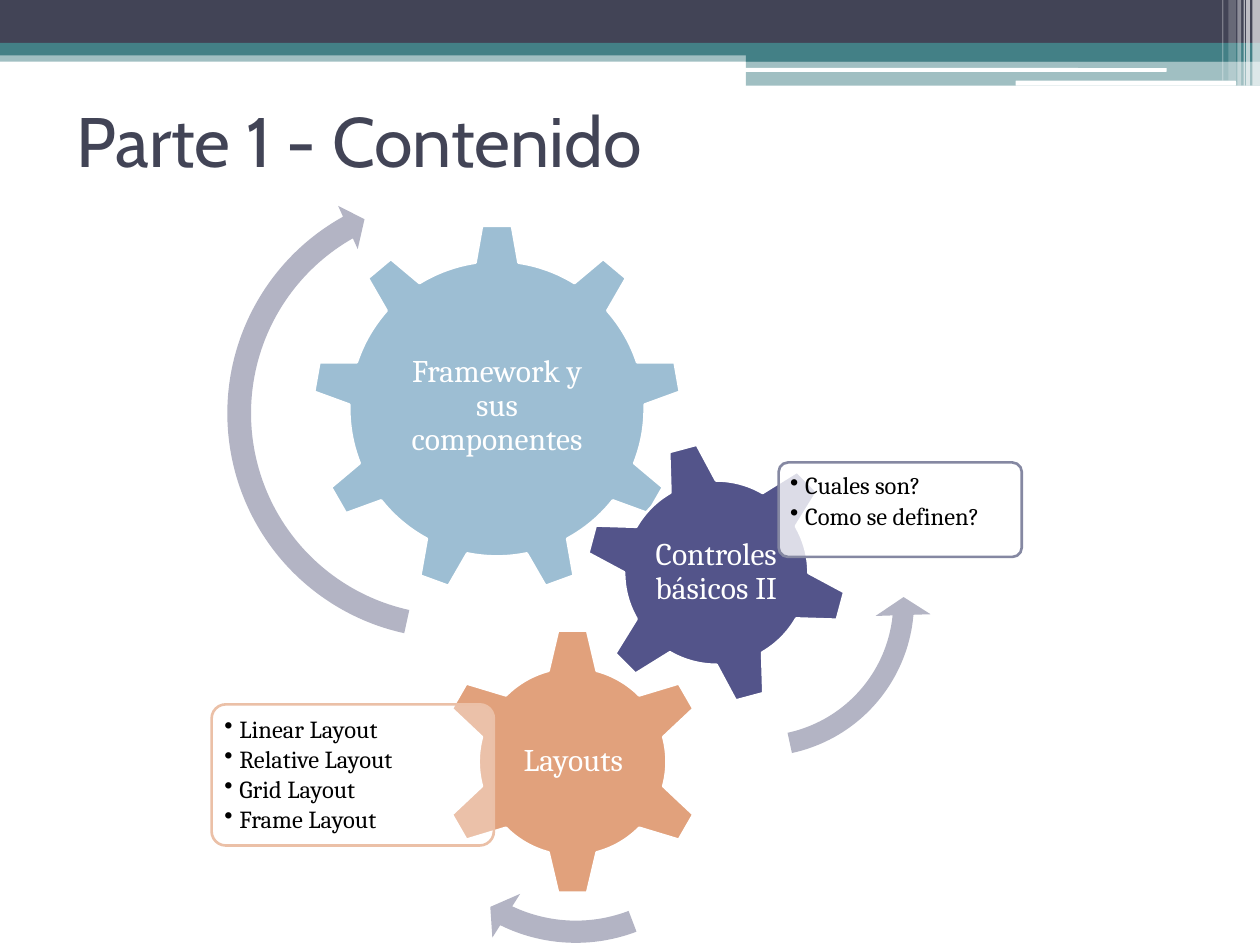
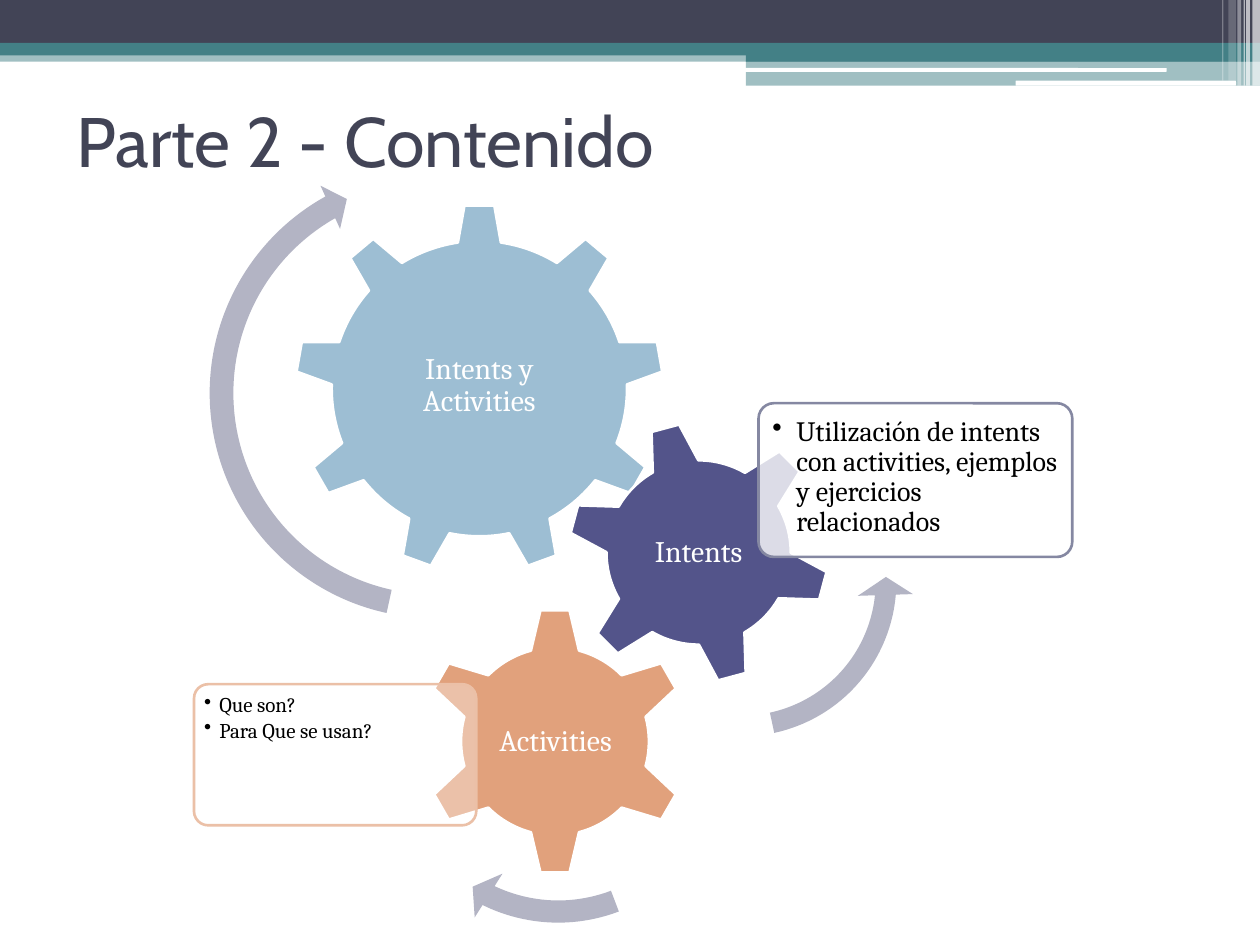
from lxml import etree
from pptx import Presentation
from pptx.dml.color import RGBColor
from pptx.enum.shapes import MSO_SHAPE
from pptx.enum.text import MSO_ANCHOR, PP_ALIGN
from pptx.oxml.ns import qn
from pptx.util import Emu, Pt

RECT, ROUNDED = MSO_SHAPE.RECTANGLE, MSO_SHAPE.ROUNDED_RECTANGLE
GEAR_6, GEAR_9 = MSO_SHAPE.GEAR_6, MSO_SHAPE.GEAR_9
ARC, LEFT_ARC = MSO_SHAPE.CIRCULAR_ARROW, MSO_SHAPE.LEFT_CIRCULAR_ARROW
MIDDLE, TOP = MSO_ANCHOR.MIDDLE, MSO_ANCHOR.TOP
CENTER, LEFT = PP_ALIGN.CENTER, PP_ALIGN.LEFT

EMU_PER_PX = 9144  # 100 px to the inch
SLIDE_SIZE = (1000, 750)
TITLE_BOX = (51, 52, 900, 117)
TITLE_FONT, BODY_FONT = "Cabin", "Cambria"

COLORS = {
    "ink": "424456", "teal": "438086", "white": "FFFFFF", "black": "000000",
    "blue": "9DBED3", "orange": "E1A17C", "purple": "53548A",
    "orange_edge": "EBC0A7", "purple_edge": "8588A2", "arrow": "B3B4C4",
}

# Header bands: box, colour, opacity in percent
BANDS = [
    ((0, 40, 1000, 9), "teal", 50),
    ((0, 0, 1000, 34), "ink", 100),
    ((0, 34, 1000, 10), "teal", 100),
    ((592, 39, 408, 10), "teal", 100),
    ((592, 48, 408, 20), "teal", 50),
]
WHITE_RULES = [(591, 54, 335, 3), (806, 64, 175, 4)]
# Vertical strips: left, width, height, opacity
STRIPS = [(994, 6, 68, 65), (989, 3, 68, 65), (987, 1, 68, 60),
          (982, 3, 68, 40), (975, 6, 64, 20), (970, 1, 64, 30)]

# Gears: preset, box in the diagram, label box, colour, rotation
GEARS = [
    (GEAR_9, (80, 38, 293, 293), (139, 107, 175, 151), "blue", 0),
    (GEAR_6, (180, 358, 213, 213), (234, 412, 106, 105), "orange", 0),
    (GEAR_6, (296, 210, 209, 209), (342, 256, 117, 117), "purple", 345),
]
# Turning arrows: preset, box in the diagram, rotation, adjustments
ARROWS = [
    (ARC, (3, 0, 376, 376), 198.5, (0.05, 2.99, 25.3, 158.31, 0.05)),
    (LEFT_ARC, (298, 201, 273, 273), 190.5, (0.06, 4.3, 104.89, 148.38, 0.08)),
    (ARC, (142, 326, 294, 294), 254, (0.06, 3.94, 133.14, 105.08, 0.07)),
]
LAYOUT_NOTE_BOX = (0, 419, 224, 112)

SLIDES = [
    {
        "title": "Parte 1 - Contenido",
        "origin": (168, 140),
        "labels": ["Framework y sus componentes", "Layouts", "Controles básicos II"],
        "label_size": 18, "label_inset": 3,
        "orange_note": {
            "lines": ["Linear Layout", "Relative Layout", "Grid Layout", "Frame Layout"],
            "box": LAYOUT_NOTE_BOX, "size": 14, "inset": 7, "indent": 12},
        "purple_note": {
            "lines": ["Cuales son?", "Como se definen?"],
            "box": (450, 227, 193, 75), "size": 14, "inset": 7, "indent": 12},
    },
    {
        "title": "Parte 2 - Contenido",
        "origin": (154, 124),
        "labels": ["Intents y Activities", "Activities", "Intents"],
        "label_size": 17, "label_inset": 2,
        "orange_note": {
            "lines": ["Que son?", "Para Que se usan?"],
            "box": LAYOUT_NOTE_BOX, "size": 12, "inset": 5, "indent": 12},
        "purple_note": {
            "lines": ["Utilización de intents con activities, ejemplos y "
                      "ejercicios relacionados"],
            "box": (448, 196, 249, 122), "size": 16, "inset": 7, "indent": 19},
    },
]


def px(length):
    return Emu(round(length * EMU_PER_PX))


def rgb(name):
    return RGBColor.from_string(COLORS[name])


def within(origin, box):
    """Shift a box from diagram to slide coordinates."""
    return (origin[0] + box[0], origin[1] + box[1], box[2], box[3])


def add_part(slide, preset, box, color, opacity=100, edge=None, rotation=0,
             adjustments=()):
    part = slide.shapes.add_shape(preset, *map(px, box))
    part.shadow.inherit = False
    part.rotation = rotation
    for index, value in enumerate(adjustments):
        part.adjustments[index] = value
    part.fill.solid()
    part.fill.fore_color.rgb = rgb(color)
    if opacity < 100:
        fill_color = part._element.spPr.find(qn("a:solidFill"))[0]
        etree.SubElement(fill_color, qn("a:alpha"), val=str(opacity * 1000))
    if edge:
        part.line.color.rgb = rgb(edge)
        part.line.width = Pt(1.5)
    else:
        part.line.fill.background()


def add_text(slide, box, lines, size, color, font=BODY_FONT, align=LEFT,
             anchor=TOP, inset=None, line_spacing=None, space_after=0):
    frame = slide.shapes.add_textbox(*map(px, box)).text_frame
    frame.word_wrap = True
    frame.vertical_anchor = anchor
    if inset is not None:
        frame.margin_left = frame.margin_right = px(inset)
        frame.margin_top = frame.margin_bottom = px(inset)
    frame.text = "\n".join(lines)
    for paragraph in frame.paragraphs:
        paragraph.alignment = align
        paragraph.line_spacing = line_spacing
        paragraph.space_after = Pt(size * space_after)
        paragraph.font.name = font
        paragraph.font.size = Pt(size)
        paragraph.font.color.rgb = rgb(color)
    return frame


def add_bullets(frame, indent):
    for paragraph in frame.paragraphs:
        properties = paragraph._p.get_or_add_pPr()
        properties.set("marL", str(px(indent)))
        properties.set("indent", str(-px(indent)))
        bullet = etree.Element(qn("a:buChar"), char="•")
        properties.find(qn("a:defRPr")).addprevious(bullet)


def draw_header(slide):
    for box, color, opacity in BANDS:
        add_part(slide, RECT, box, color, opacity)
    for box in WHITE_RULES:
        add_part(slide, ROUNDED, box, "white")
    for left, width, height, opacity in STRIPS:
        add_part(slide, RECT, (left, 0, width, height), "white", opacity)


def draw_note(slide, origin, note, edge, opacity):
    box = left, top, width, height = within(origin, note["box"])
    add_part(slide, ROUNDED, box, "white", opacity, edge, adjustments=[0.1])
    # The text area clears the rounded corners
    corner = round(height * 0.03)
    text_box = (left + corner, top + corner, width - 2 * corner, height - 2 * corner)
    frame = add_text(slide, text_box, note["lines"], note["size"], "black",
                     inset=note["inset"], line_spacing=0.9, space_after=0.15)
    add_bullets(frame, note["indent"])


def draw_gears(slide, content):
    origin = content["origin"]
    notes = {"orange": ("orange_note", "orange_edge", 35),
             "purple": ("purple_note", "purple_edge", 80)}
    for (preset, box, label_box, color, rotation), label in zip(GEARS, content["labels"]):
        add_part(slide, preset, within(origin, box), color, edge="white",
                 rotation=rotation)
        add_text(slide, within(origin, label_box), [label], content["label_size"],
                 "white", align=CENTER, anchor=MIDDLE, inset=content["label_inset"],
                 line_spacing=0.9, space_after=0.35)
        if color in notes:
            key, edge, opacity = notes[color]
            draw_note(slide, origin, content[key], edge, opacity)
    for preset, box, rotation, adjustments in ARROWS:
        add_part(slide, preset, within(origin, box), "arrow", rotation=rotation,
                 adjustments=adjustments)


def main():
    deck = Presentation()
    deck.slide_width, deck.slide_height = map(px, SLIDE_SIZE)
    blank = deck.slide_layouts[6]
    for content in SLIDES:
        slide = deck.slides.add_slide(blank)
        draw_header(slide)
        add_text(slide, TITLE_BOX, [content["title"]], 40, "ink",
                 font=TITLE_FONT, anchor=MIDDLE)
        draw_gears(slide, content)
    deck.save("out.pptx")


if __name__ == "__main__":
    main()
